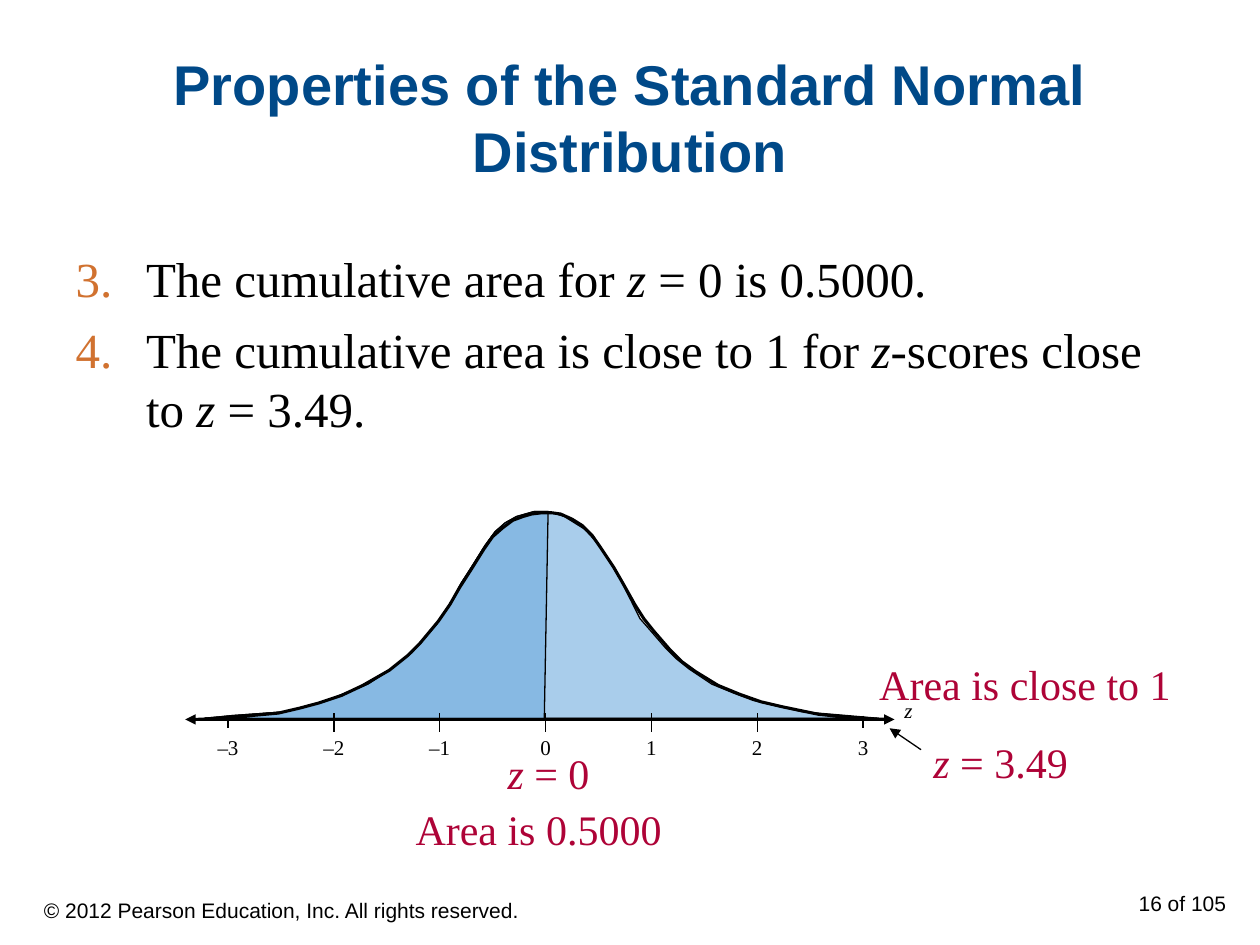
from dataclasses import dataclass

from lxml.etree import SubElement
from pptx import Presentation
from pptx.dml.color import RGBColor
from pptx.enum.shapes import MSO_CONNECTOR
from pptx.enum.text import MSO_ANCHOR, MSO_AUTO_SIZE, PP_ALIGN
from pptx.oxml.ns import qn
from pptx.util import Inches, Pt


@dataclass(frozen=True)
class Theme:
    title: str = "004988"
    number: str = "D17230"
    callout: str = "AE0337"
    ink: str = "000000"
    area: str = "71ADDF"
    area_opacity: int = 60
    serif: str = "Times New Roman"
    sans: str = "Arial"
    title_size: int = 32
    body_size: int = 28
    callout_size: int = 24
    small_size: int = 12
    thin: float = 0.75
    thick: float = 1.75


T = Theme()

# A run is (text, italic)
TITLE = "Properties of the Standard Normal Distribution"
FIRST_NUMBER = 3
PROPERTIES = [
    [("The cumulative area for ", False), ("z ", True), ("= 0 is 0.5000.", False)],
    [("The cumulative area is close to 1 for ", False), ("z", True),
     ("-scores close to ", False), ("z ", True), ("= 3.49.", False)],
]
CALLOUTS = [
    ((7.31, 5.8, 1.4, 0.5), [("z", True), (" = 3.49", False)]),
    ((6.88, 5.18, 2.8, 0.5), [("Area is close to 1", False)]),
    ((3.2, 6.33, 2.4, 0.5), [("Area is 0.5000", False)]),
    ((3.93, 5.88, 1, 0.5), [("z", True), (" = 0", False)]),
]
FOOTERS = [
    ((0.25, 7.02, 4.75, 0.4), "© 2012 Pearson Education, Inc. All rights reserved.",
     PP_ALIGN.LEFT, MSO_ANCHOR.MIDDLE),
    ((7.5, 7.02, 2.33, 0.4), "16 of 105", PP_ALIGN.RIGHT, MSO_ANCHOR.TOP),
]
TICK_LABELS = ["–3", "–2", "–1", "0", "1", "2", "3"]
AXIS_Y, FIRST_TICK, TICK_STEP, LABEL_WIDTH = 5.71, 1.81, 0.84, 0.6

# Curve points in hundredths of an inch
LEFT_HALF = [
    (163, 570), (174, 569), (184, 568), (226, 565), (257, 557), (292, 543), (312, 530),
    (327, 518), (335, 509), (347, 495), (349, 491), (358, 478), (366, 463), (375, 449),
    (385, 433), (393, 422), (401, 415), (410, 410), (424, 406), (435, 406),
]
RIGHT_HALF = [
    (448, 410), (464, 420), (476, 433), (493, 461), (501, 477), (508, 491), (515, 499),
    (528, 514), (537, 523), (547, 531), (565, 543), (582, 550), (598, 556), (615, 560),
    (637, 565), (673, 568), (696, 570),
]
OUTLINE = [
    (155, 571), (177, 570), (221, 566), (238, 562), (253, 558), (271, 552), (288, 544),
    (309, 532), (324, 520), (333, 511), (348, 493), (357, 480), (365, 466), (374, 452),
    (384, 436), (391, 426), (399, 419), (407, 413), (415, 410), (422, 408), (430, 407),
    (438, 407), (445, 408), (454, 412), (462, 417), (470, 425), (477, 435), (487, 450),
    (495, 464), (504, 480), (511, 491), (519, 501), (532, 516), (541, 525), (552, 533),
    (570, 544), (587, 551), (604, 557), (621, 561), (650, 567), (681, 570), (705, 571),
]


def rgb(value):
    return RGBColor.from_string(value)


def place(sp, box):
    for name, value in zip(("left", "top", "width", "height"), box):
        setattr(sp, name, Inches(value))


def add_runs(p, runs, font, size, color, bold=False):
    for text, italic in runs:
        r = p.add_run()
        r.text = text
        style = {"name": font, "size": Pt(size), "bold": bold, "italic": italic}
        for name, value in style.items():
            setattr(r.font, name, value)
        r.font.color.rgb = rgb(color)


def add_label(s, box, runs, size, color, font=T.serif, align=PP_ALIGN.LEFT,
              anchor=MSO_ANCHOR.TOP):
    tf = s.shapes.add_textbox(*map(Inches, box)).text_frame
    tf.word_wrap, tf.vertical_anchor = True, anchor
    p = tf.paragraphs[0]
    p.alignment = align
    add_runs(p, runs, font, size, color)


def add_line(s, start, end, **arrows):
    """Draw a thin line; arrows maps headEnd or tailEnd to an arrowhead type."""
    line = s.shapes.add_connector(MSO_CONNECTOR.STRAIGHT, *map(Inches, start + end))
    line.line.color.rgb, line.line.width = rgb(T.ink), Pt(T.thin)
    for tag, kind in arrows.items():
        SubElement(line.line._get_or_add_ln(), qn(f"a:{tag}"), type=kind)
    SubElement(line._element.spPr, qn("a:effectLst"))


def add_region(s, points, width, filled=True):
    builder = s.shapes.build_freeform(*points[0], scale=Inches(0.01))
    builder.add_line_segments(points[1:], close=True)
    sp = builder.convert_to_shape()
    sp.shadow.inherit = False
    sp.line.color.rgb, sp.line.width = rgb(T.ink), Pt(width)
    if not filled:
        sp.fill.background()
        return
    sp.fill.solid()
    sp.fill.fore_color.rgb = rgb(T.area)
    color = sp._element.spPr.find(qn("a:solidFill"))[0]
    SubElement(color, qn("a:alpha"), val=str(T.area_opacity * 1000))


def number_paragraph(p):
    pPr = p._p.get_or_add_pPr()
    pPr.set("marL", str(Inches(0.56)))
    pPr.set("indent", str(-Inches(0.56)))
    SubElement(SubElement(pPr, qn("a:buClr")), qn("a:srgbClr"), val=T.number)
    SubElement(pPr, qn("a:buAutoNum"), type="arabicPeriod", startAt=str(FIRST_NUMBER))


def add_title_and_list(s):
    title, body = s.shapes.title, s.placeholders[1]
    place(title, (0.5, 0.3, 9, 1.25))
    place(body, (0.5, 1.92, 9, 1.67))
    for sp in (title, body):
        sp.text_frame.auto_size = MSO_AUTO_SIZE.NONE
    title.text_frame.vertical_anchor = MSO_ANCHOR.MIDDLE
    p = title.text_frame.paragraphs[0]
    p.alignment = PP_ALIGN.CENTER
    add_runs(p, [(TITLE, False)], T.sans, T.title_size, T.title, bold=True)

    tf = body.text_frame
    for i, runs in enumerate(PROPERTIES):
        p = tf.add_paragraph() if i else tf.paragraphs[0]
        number_paragraph(p)
        p.space_before = Pt(7 if i else 0)
        add_runs(p, runs, T.serif, T.body_size, T.ink)


def add_axis(s):
    add_line(s, (1.47, AXIS_Y), (7.1, AXIS_Y), headEnd="triangle", tailEnd="triangle")
    add_label(s, (7.08, 5.49, 0.47, 0.3), [("z", True)], T.small_size, T.ink)
    last = len(TICK_LABELS) - 1
    for i, text in enumerate(TICK_LABELS):
        x = FIRST_TICK + i * TICK_STEP
        top, bottom = (5.68, 5.78) if i in (0, last) else (5.66, 5.81)
        add_line(s, (x, top), (x, bottom))
        add_label(s, (x - LABEL_WIDTH / 2, 5.78, LABEL_WIDTH, 0.3), [(text, False)],
                  T.small_size, T.ink, align=PP_ALIGN.CENTER)


def main():
    prs = Presentation()
    prs.slide_width, prs.slide_height = Inches(10), Inches(7.5)
    s = prs.slides.add_slide(prs.slide_layouts[1])
    add_title_and_list(s)
    add_region(s, LEFT_HALF + RIGHT_HALF, T.thin)
    add_region(s, LEFT_HALF + [(432, 571), (163, 571)], T.thin)
    add_axis(s)
    add_region(s, OUTLINE, T.thick, filled=False)
    add_line(s, (7.31, 5.95), (7.06, 5.78), tailEnd="triangle")
    for box, runs in CALLOUTS:
        add_label(s, box, runs, T.callout_size, T.callout)
    for box, text, align, anchor in FOOTERS:
        add_label(s, box, [(text, False)], T.small_size, T.ink, T.sans, align, anchor)
    prs.save("out.pptx")


if __name__ == "__main__":
    main()
